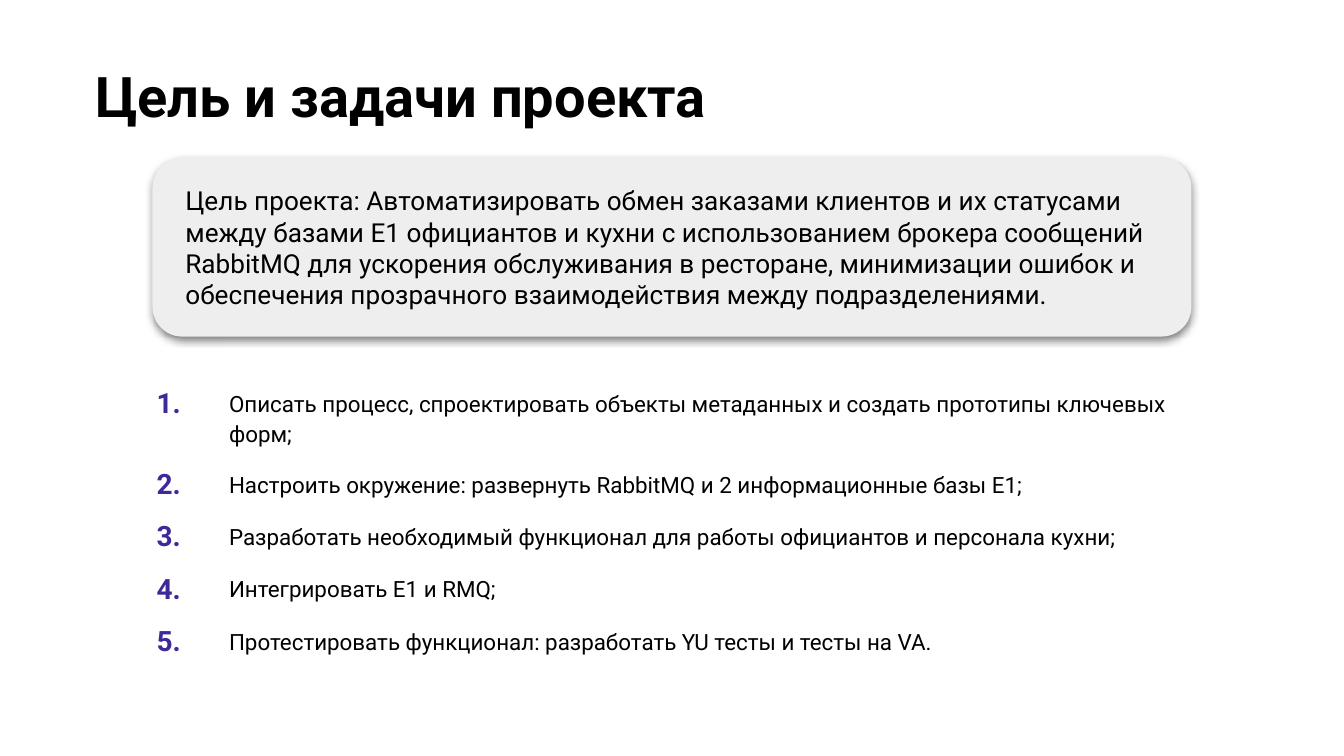
from lxml.etree import SubElement
from pptx import Presentation
from pptx.dml.color import RGBColor
from pptx.enum.shapes import MSO_SHAPE
from pptx.enum.text import MSO_ANCHOR, PP_ALIGN
from pptx.oxml.ns import qn
from pptx.util import Inches, Pt

COLORS = {"text": "000000", "accent": "3F299A", "panel": "EEEEEE", "border": "FFFFFF"}
FORMATS = {
    "title": {"size": Pt(30), "bold": True, "name": "Roboto"},
    "goal": {"size": Pt(14), "bold": False, "name": "Roboto"},
    "number": {"size": Pt(15), "bold": True, "name": "Roboto"},
    "task": {"size": Pt(12), "bold": False, "name": "Roboto"},
}
CELL_MARGINS = {
    "margin_left": Inches(0.22),
    "margin_right": Inches(0.1),
    "margin_top": Inches(0.07),
    "margin_bottom": Inches(0.07),
}
COLUMNS, ROWS = 100, 56.25
TITLE_BOX = (6.1, 3.6, 93.2, 14.3)
GOAL_BOX = (11.35, 11.75, 77.3, 13.3)
TASKS_BOX = (9.45, 28.15, 79.2, 21.9)
NUMBER_COLUMNS = 5.4
TASK_ROWS = 3.1

TITLE = "Цель и задачи проекта"
GOAL = (
    "Цель проекта: Автоматизировать обмен заказами клиентов и их статусами "
    "между базами Е1 официантов и кухни с использованием брокера сообщений "
    "RabbitMQ для ускорения обслуживания в ресторане, минимизации ошибок и "
    "обеспечения прозрачного взаимодействия между подразделениями."
)
TASKS = [
    "Описать процесс, спроектировать объекты метаданных и создать прототипы ключевых форм;",
    "Настроить окружение: развернуть RabbitMQ и 2 информационные базы Е1;",
    "Разработать необходимый функционал для работы официантов и персонала кухни;",
    "Интегрировать Е1 и RMQ;",
    "Протестировать функционал: разработать YU тесты и тесты на VA.",
]


def grid_box(deck, box):
    left, top, width, height = box
    column, row = deck.slide_width / COLUMNS, deck.slide_height / ROWS
    return [int(length) for length in (left * column, top * row, width * column, height * row)]


def set_values(target, values):
    for name, value in values.items():
        setattr(target, name, value)


def write_text(frame, text, style, color="text", line_spacing=None):
    frame.word_wrap = True
    para = frame.paragraphs[0]
    para.alignment = PP_ALIGN.LEFT
    para.line_spacing = line_spacing
    span = para.add_run()
    span.text = text
    set_values(span.font, FORMATS[style])
    span.font.color.rgb = RGBColor.from_string(COLORS[color])


def add_title(page, box):
    frame = page.shapes.add_textbox(*box).text_frame
    margins = ("margin_left", "margin_right", "margin_top", "margin_bottom")
    set_values(frame, dict.fromkeys(margins, Inches(0.1)))
    write_text(frame, TITLE, "title")


def add_soft_shadow(shape):
    effects = SubElement(shape.element.spPr, qn("a:effectLst"))
    shadow = SubElement(
        effects, qn("a:outerShdw"), blurRad=str(Pt(4.5)), dist=str(Pt(1.5)),
        dir="5400000", algn="bl", rotWithShape="0",
    )
    color = SubElement(shadow, qn("a:srgbClr"), val=COLORS["text"])
    SubElement(color, qn("a:alpha"), val="50000")


def add_goal(page, box):
    panel = page.shapes.add_shape(MSO_SHAPE.ROUNDED_RECTANGLE, *box)
    panel.fill.solid()
    panel.fill.fore_color.rgb = RGBColor.from_string(COLORS["panel"])
    panel.line.fill.background()
    add_soft_shadow(panel)
    set_values(panel.text_frame, {
        "margin_left": Inches(0.18),
        "margin_right": Inches(0.18),
        "margin_top": Inches(0.1),
        "margin_bottom": Inches(0.1),
        "vertical_anchor": MSO_ANCHOR.MIDDLE,
    })
    write_text(panel.text_frame, GOAL, "goal")


def format_cell(cell):
    set_values(cell, CELL_MARGINS)
    properties = cell._tc.get_or_add_tcPr()
    for side in ("a:lnL", "a:lnR", "a:lnT", "a:lnB"):
        line = SubElement(properties, qn(side), w=str(Pt(0.75)))
        fill = SubElement(line, qn("a:solidFill"))
        SubElement(fill, qn("a:srgbClr"), val=COLORS["border"])
    cell.fill.background()


def add_tasks(page, box):
    left, top, width, height = box
    holder = page.shapes.add_table(len(TASKS), 2, *box)
    table = holder.table
    set_values(table, {"first_row": False, "horz_banding": False})
    table.columns[0].width = int(width * NUMBER_COLUMNS / TASKS_BOX[2])
    table.columns[1].width = width - table.columns[0].width
    for index, task in enumerate(TASKS):
        table.rows[index].height = int(height * TASK_ROWS / TASKS_BOX[3])
        number_cell, task_cell = table.rows[index].cells
        write_text(number_cell.text_frame, f"{index + 1}.", "number", "accent")
        write_text(task_cell.text_frame, task, "task", line_spacing=1.15)
        for cell in (number_cell, task_cell):
            format_cell(cell)
    holder.height = height


def main():
    deck = Presentation()
    deck.slide_width, deck.slide_height = Inches(10), Inches(10) * 9 // 16
    page = deck.slides.add_slide(deck.slide_layouts[6])
    add_title(page, grid_box(deck, TITLE_BOX))
    add_goal(page, grid_box(deck, GOAL_BOX))
    add_tasks(page, grid_box(deck, TASKS_BOX))
    deck.save("out.pptx")


if __name__ == "__main__":
    main()
